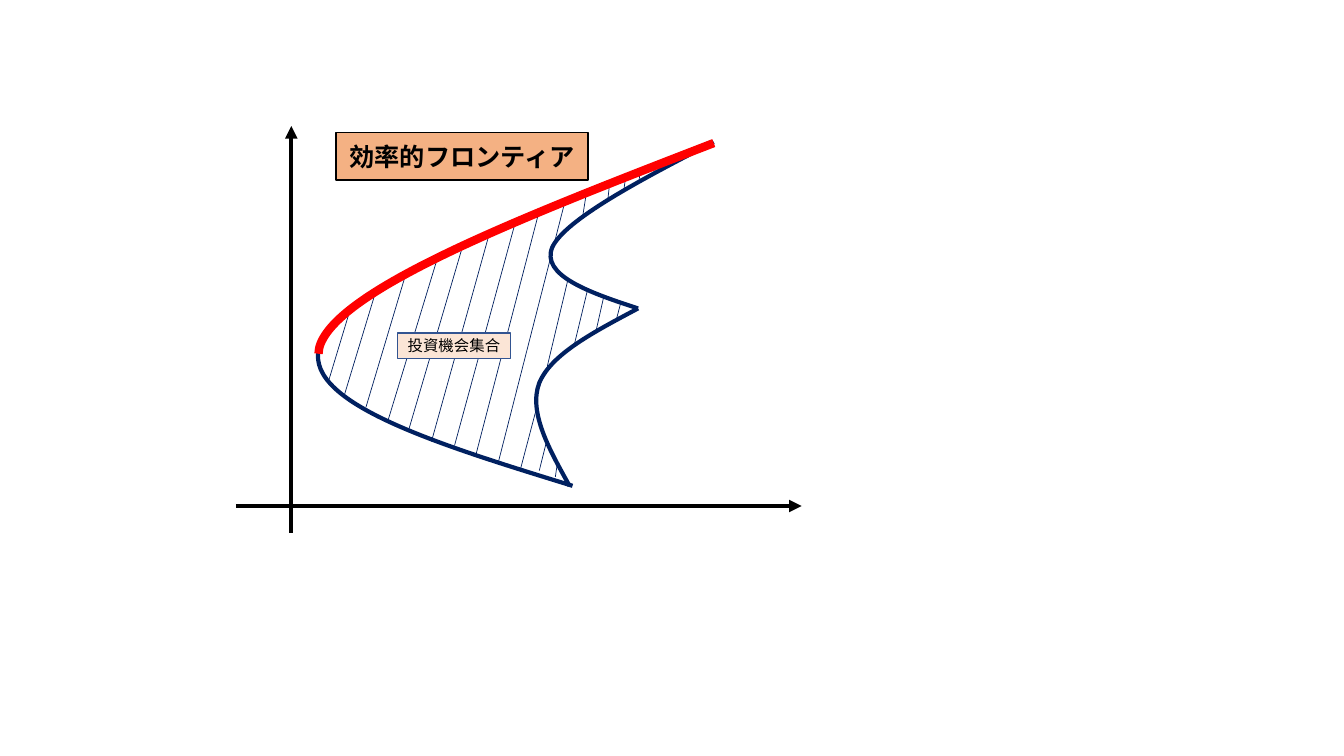
from dataclasses import dataclass

from lxml.etree import SubElement
from pptx import Presentation
from pptx.dml.color import RGBColor
from pptx.enum.shapes import MSO_CONNECTOR, MSO_SHAPE
from pptx.enum.text import MSO_ANCHOR, PP_ALIGN
from pptx.oxml.ns import qn
from pptx.util import Pt


@dataclass(frozen=True)
class Theme:
    font: str = "Noto Sans CJK JP"
    ink: str = "000000"
    curve: str = "002060"
    frontier: str = "FF0000"
    frontier_fill: str = "F4B183"
    set_fill: str = "FBE5D6"
    set_border: str = "325491"
    frontier_size: float = 18
    set_size: float = 11


THEME = Theme()

# All lengths are in points.
AXES = [((208.1, 380.5), (208.1, 90)), ((168.5, 361.4), (572.6, 361.4))]

# Each curve is a start point, then two controls and an end point per cubic.
NOTCHES = [
    [(509.8, 101.5), (456.5, 128.9), (403.9, 157), (394.6, 176.4),
     (385.9, 196.6), (420.5, 208.8), (455.8, 220.3)],
    [(455.8, 220.3), (424.8, 236.9), (393.8, 252.7), (385.2, 273.6),
     (377.3, 294.5), (392.4, 321.1), (406.8, 347)],
]
ENVELOPE = [(508.3, 101.5), (377.3, 153.4), (245.5, 204.5), (229, 245.5),
            (212.4, 286.6), (311, 316.8), (409, 347)]
FRONTIER = [(227.5, 252.7), (227.6, 250.4), (228, 248.1), (229, 245.5),
            (245.5, 204.5), (377.3, 153.4), (509.8, 102.2)]
STEPS = 32

HATCHING = [
    ((234.7, 272.2), (250.6, 219.6)),
    ((246.2, 281.5), (267.8, 210.2)),
    ((261.4, 290.9), (289.4, 197.3)),
    ((277.2, 300.2), (312.5, 184.3)),
    ((291.6, 308.2), (330.5, 175.7)),
    ((308.2, 315.4), (349.9, 165.6)),
    ((324.7, 318.2), (368.6, 157)),
    ((339.8, 325.4), (385.2, 150.5)),
    ((355.7, 331.2), (403.9, 142.6)),
    ((391, 261.4), (405.4, 200.9)),
    ((371.5, 336.2), (382.3, 295.2)),
    ((410.4, 245.5), (419.8, 206.6)),
    ((425.5, 237.6), (431.3, 211.7)),
    ((439.9, 229.7), (443.5, 216)),
    ((385.2, 336.2), (390.2, 316.1)),
    ((396.7, 340.6), (398.2, 330.5)),
    ((416.2, 154.8), (419, 136.8)),
    ((434.2, 142.6), (435.6, 129.6)),
    ((445.7, 135.4), (447.1, 124.6)),
    ((456.5, 129.6), (457.2, 121.7)),
    ((467.3, 124.6), (468.7, 116.6)),
]

LABELS = [
    ("効率的フロンティア", (240.1, 94.7, 180, 33.8),
     dict(size=THEME.frontier_size, bold=True, fill=THEME.frontier_fill, border=THEME.ink)),
    ("投資機会集合", (284, 237.9, 80.6, 18),
     dict(size=THEME.set_size, bold=False, fill=THEME.set_fill, border=THEME.set_border)),
]


def set_stroke(line, color, width):
    line.color.rgb = RGBColor.from_string(color)
    line.width = Pt(width)


def add_line(slide, start, end, color, width, arrow=False):
    connector = slide.shapes.add_connector(
        MSO_CONNECTOR.STRAIGHT, *(Pt(v) for v in (*start, *end)))
    set_stroke(connector.line, color, width)
    properties = connector._element.spPr
    if arrow:
        SubElement(properties.find(qn("a:ln")), qn("a:tailEnd"), type="triangle")
    SubElement(properties, qn("a:effectLst"))


def sample_curve(knots):
    """Return evenly stepped points along a chain of cubic Bézier segments."""
    points = [knots[0]]
    for first in range(0, len(knots) - 1, 3):
        segment = knots[first:first + 4]
        for step in range(1, STEPS + 1):
            t = step / STEPS
            weights = ((1 - t) ** 3, 3 * t * (1 - t) ** 2, 3 * t * t * (1 - t), t ** 3)
            points.append(tuple(
                sum(w * knot[axis] for w, knot in zip(weights, segment)) for axis in (0, 1)))
    return points


def add_curve(slide, knots, color, width):
    """Size a freeform to the curve's extent, then give it smooth cubic segments."""
    start, *rest = [(Pt(x), Pt(y)) for x, y in sample_curve(knots)]
    builder = slide.shapes.build_freeform(*start)
    builder.add_line_segments(rest, close=False)
    curve = builder.convert_to_shape()

    outline = next(curve._element.iter(qn("a:path")))
    for straight in outline.findall(qn("a:lnTo")):
        outline.remove(straight)
    for first in range(1, len(knots), 3):
        cubic = SubElement(outline, qn("a:cubicBezTo"))
        for x, y in knots[first:first + 3]:
            SubElement(cubic, qn("a:pt"), x=str(Pt(x) - curve.left), y=str(Pt(y) - curve.top))

    curve.fill.background()
    curve.shadow.inherit = False
    set_stroke(curve.line, color, width)


def add_label(slide, text, box, *, size, bold, fill, border):
    label = slide.shapes.add_shape(MSO_SHAPE.RECTANGLE, *(Pt(v) for v in box))
    label.shadow.inherit = False
    label.fill.solid()
    label.fill.fore_color.rgb = RGBColor.from_string(fill)
    set_stroke(label.line, border, 1)
    frame = label.text_frame
    frame.margin_left = frame.margin_right = frame.margin_top = frame.margin_bottom = 0
    frame.word_wrap = True
    frame.vertical_anchor = MSO_ANCHOR.MIDDLE
    paragraph = frame.paragraphs[0]
    paragraph.alignment = PP_ALIGN.CENTER
    run = paragraph.add_run()
    run.text = text
    run.font.name = THEME.font
    run.font.size = Pt(size)
    run.font.bold = bold
    run.font.color.rgb = RGBColor.from_string(THEME.ink)
    SubElement(run.font._element, qn("a:ea"), typeface=THEME.font)


def main():
    presentation = Presentation()
    presentation.slide_width, presentation.slide_height = Pt(960), Pt(540)
    slide = presentation.slides.add_slide(presentation.slide_layouts[6])

    for start, end in AXES:
        add_line(slide, start, end, THEME.ink, 3, arrow=True)
    for notch in NOTCHES:
        add_curve(slide, notch, THEME.curve, 3)
    for start, end in HATCHING:
        add_line(slide, start, end, THEME.curve, 0.5)
    add_curve(slide, ENVELOPE, THEME.curve, 3)
    add_curve(slide, FRONTIER, THEME.frontier, 6)
    for text, box, style in LABELS:
        add_label(slide, text, box, **style)

    presentation.save("out.pptx")


if __name__ == "__main__":
    main()
